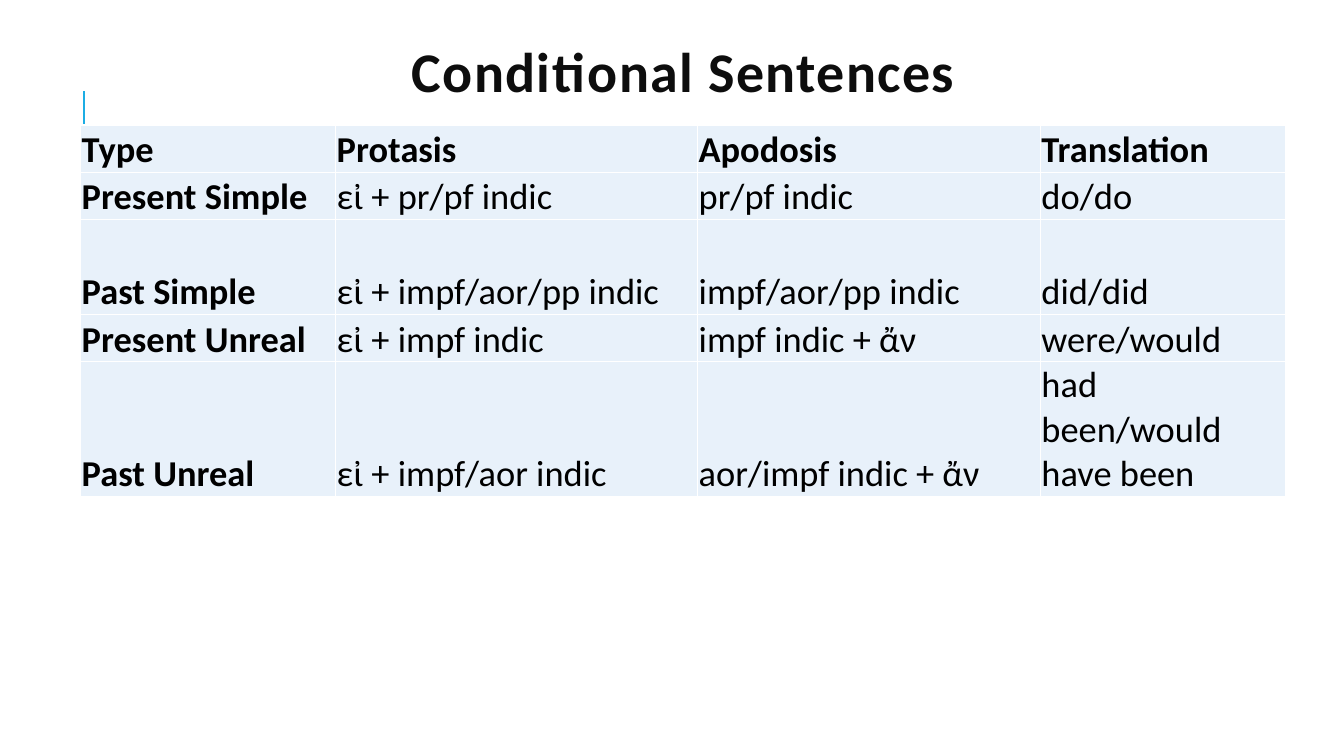
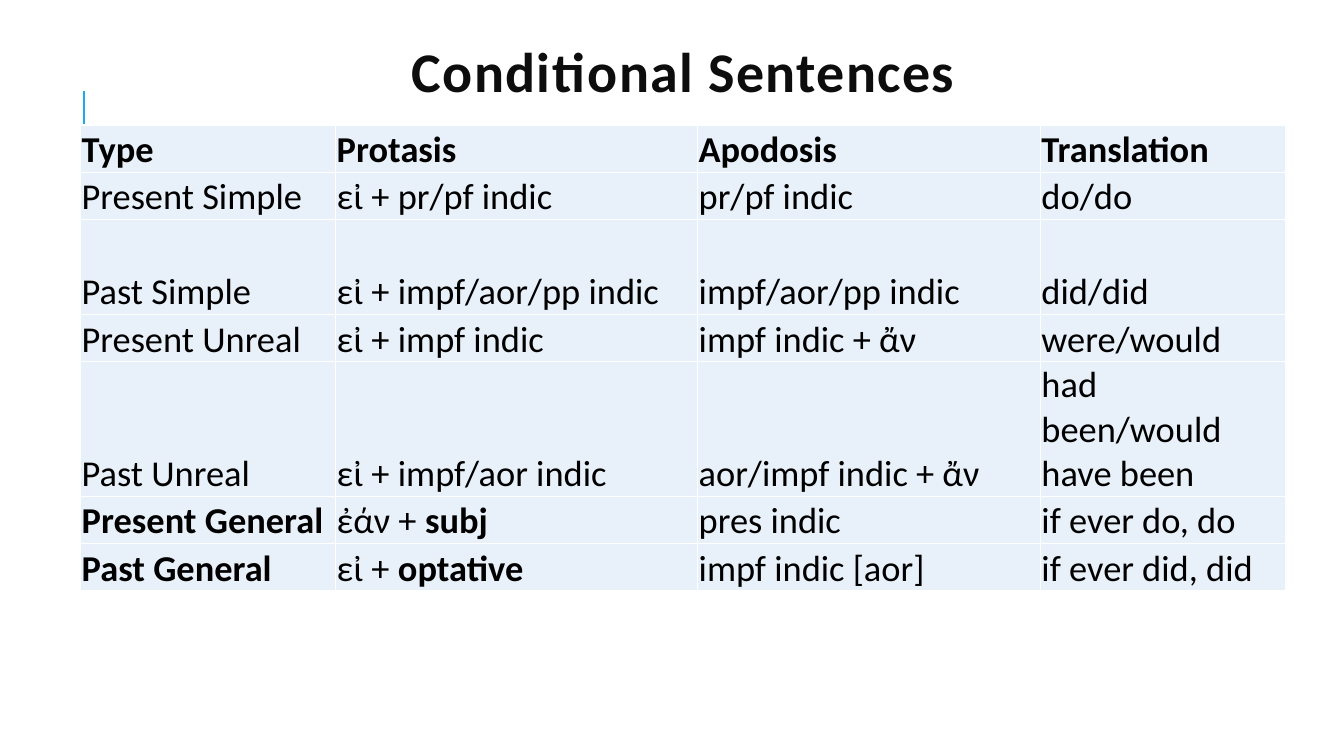
from lxml.etree import SubElement
from pptx import Presentation
from pptx.dml.color import RGBColor
from pptx.enum.shapes import MSO_CONNECTOR
from pptx.enum.text import MSO_ANCHOR, PP_ALIGN
from pptx.oxml import parse_xml
from pptx.oxml.ns import nsdecls, qn
from pptx.util import Inches, Pt

COLORS = {"title": "0D0D0D", "text": "000000", "accent": "1CADE4",
          "cell": "E8F1FA", "border": "FFFFFF"}
FONT = "Calibri"
TITLE = "Conditional Sentences"
TITLE_ONLY = 5

# Text between asterisks is bold.
HEADER = ("*Type*", "*Protasis*", "*Apodosis*", "*Translation*")
BASIC = [
    ("Present Simple", "εἰ + pr/pf indic", "pr/pf indic", "do/do"),
    ("Past Simple", "εἰ + impf/aor/pp indic", "impf/aor/pp indic", "did/did"),
    ("Present Unreal", "εἰ + impf indic", "impf indic + ἄν", "were/would"),
    ("Past Unreal", "εἰ + impf/aor indic", "aor/impf indic + ἄν",
     "had been/would have been"),
]
GENERAL = [
    ("*Present General*", "ἐάν + *subj*", "pres indic", "if ever do, do"),
    ("*Past General*", "εἰ + *optative*", "impf indic [aor]", "if ever did, did"),
]
BOLD_TYPES = [(f"*{kind}*", *rest) for kind, *rest in BASIC]
TABLES = [[HEADER] + BOLD_TYPES, [HEADER] + BASIC + GENERAL]

TABLE_LEFT, TABLE_TOP = 0.8, 1.24
COL_WIDTHS = (2.53, 3.59, 3.4, 2.43)
ROW_HEIGHT = 0.47
ROW_LINES = (1, 1, 2, 1, 2, 1, 1)


def rgb(name):
    return RGBColor.from_string(COLORS[name])


def add_run(p, text, size, color, bold):
    r = p.add_run()
    r.text = text
    r.font.name, r.font.size, r.font.bold = FONT, Pt(size), bold
    r.font.color.rgb = rgb(color)
    return r


def add_accent_line(s):
    x = Inches(0.83)
    line = s.shapes.add_connector(MSO_CONNECTOR.STRAIGHT, x, Inches(1.9), x, Inches(0.9))
    line.line.color.rgb = rgb("accent")
    line.line.width = Pt(1.5)
    SubElement(line._element.spPr, qn("a:effectLst"))


def set_title(s):
    sp = s.shapes.title
    sp.left, sp.top, sp.width, sp.height = map(Inches, (1.12, 0.44, 11.32, 0.63))
    tf = sp.text_frame
    tf.vertical_anchor = MSO_ANCHOR.MIDDLE
    p = tf.paragraphs[0]
    p.alignment, p.line_spacing = PP_ALIGN.CENTER, 0.8
    r = add_run(p, TITLE, 40, "title", True)
    r.font._element.set("spc", "100")


def fill_cell(cell, text):
    cell.vertical_anchor = MSO_ANCHOR.BOTTOM
    cell.margin_left = cell.margin_right = cell.margin_top = Inches(0.01)
    cell.margin_bottom = 0
    tcPr = cell._tc.get_or_add_tcPr()
    for side in ("lnL", "lnR", "lnT", "lnB"):
        tcPr.append(parse_xml(
            f'<a:{side} {nsdecls("a")} w="{Pt(1)}"><a:solidFill>'
            f'<a:srgbClr val="{COLORS["border"]}"/></a:solidFill></a:{side}>'))
    cell.fill.solid()
    cell.fill.fore_color.rgb = rgb("cell")
    p = cell.text_frame.paragraphs[0]
    for i, part in enumerate(text.split("*")):
        if part:
            add_run(p, part, 26, "text", i % 2 == 1)


def add_grid(s, rows):
    heights = [ROW_HEIGHT * n for n in ROW_LINES[:len(rows)]]
    box = map(Inches, (TABLE_LEFT, TABLE_TOP, sum(COL_WIDTHS), sum(heights)))
    table = s.shapes.add_table(len(rows), len(COL_WIDTHS), *box).table
    table.first_row = table.horz_banding = False
    for col, width in zip(table.columns, COL_WIDTHS):
        col.width = Inches(width)
    for row, height, texts in zip(table.rows, heights, rows):
        row.height = Inches(height)
        for cell, text in zip(row.cells, texts):
            fill_cell(cell, text)


def main():
    prs = Presentation()
    prs.slide_width, prs.slide_height = Inches(13.33), Inches(7.5)
    for rows in TABLES:
        s = prs.slides.add_slide(prs.slide_layouts[TITLE_ONLY])
        add_accent_line(s)
        set_title(s)
        add_grid(s, rows)
    prs.save("out.pptx")


if __name__ == "__main__":
    main()
